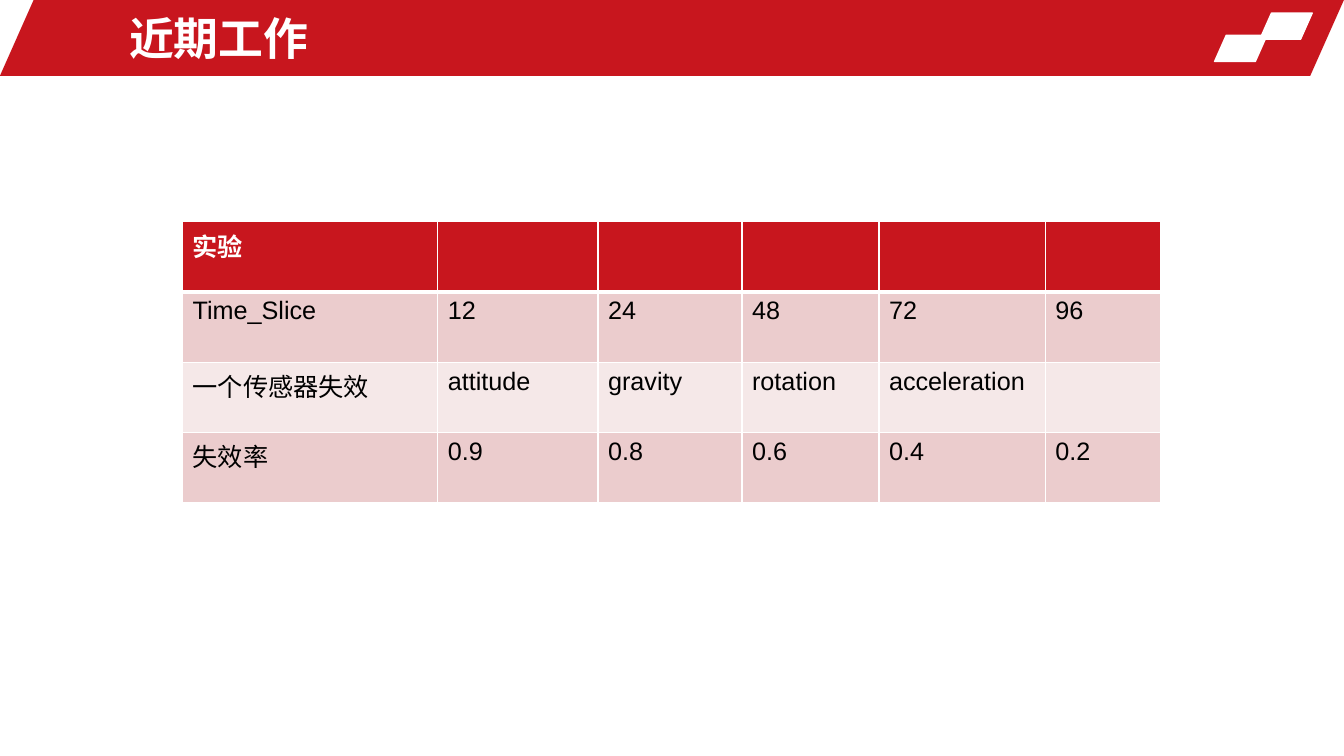
import pptx
import pptx.dml.color
import pptx.enum.shapes
import pptx.enum.text
import pptx.oxml
import pptx.oxml.ns
import pptx.util
from pptx.util import Cm

RED = pptx.dml.color.RGBColor(0xC8, 0x16, 0x1E)
ROSE = pptx.dml.color.RGBColor(0xEB, 0xCC, 0xCD)
PALE = pptx.dml.color.RGBColor(0xF5, 0xE8, 0xE8)
WHITE = pptx.dml.color.RGBColor(0xFF, 0xFF, 0xFF)
BLACK = pptx.dml.color.RGBColor(0, 0, 0)

COL_WIDTHS = [6.43, 4.04, 3.63, 3.45, 4.19, 2.92]
ROW_HEIGHT = 1.77
ROWS = [
    ["实验", "", "", "", "", ""],
    ["Time_Slice", "12", "24", "48", "72", "96"],
    ["一个传感器失效", "attitude", "gravity", "rotation", "acceleration", ""],
    ["失效率", "0.9", "0.8", "0.6", "0.4", "0.2"],
]


class Deck:
    font = "Arial"

    def __init__(self):
        self.prs = pptx.Presentation()
        self.prs.slide_width, self.prs.slide_height = Cm(33.87), Cm(19.05)
        self.s = self.prs.slides.add_slide(self.prs.slide_layouts[5])

    def run(self, p, text, size, color, bold=False):
        r = p.add_run()
        r.text = text
        r.font.name = self.font
        r.font.size = pptx.util.Pt(size)
        r.font.bold = bold
        r.font.color.rgb = color

    def parallelogram(self, left, top, width, height, color, line=None):
        sp = self.s.shapes.add_shape(
            pptx.enum.shapes.MSO_SHAPE.PARALLELOGRAM,
            Cm(left), Cm(top), Cm(width), Cm(height))
        sp.adjustments[0] = 0.444
        sp.shadow.inherit = False
        sp.fill.solid()
        sp.fill.fore_color.rgb = color
        if line is None:
            sp.line.fill.background()
        else:
            sp.line.color.rgb = line
            sp.line.width = pptx.util.Pt(1)

    def title(self, text, left, top, width, height):
        """Fill the title placeholder and bring it in front of the band."""
        sp = self.s.shapes.title
        sp.left, sp.top, sp.width, sp.height = Cm(left), Cm(top), Cm(width), Cm(height)
        tf = sp.text_frame
        tf.auto_size = pptx.enum.text.MSO_AUTO_SIZE.NONE
        tf.vertical_anchor = pptx.enum.text.MSO_ANCHOR.MIDDLE
        p = tf.paragraphs[0]
        p.alignment = pptx.enum.text.PP_ALIGN.LEFT
        self.run(p, text, 32, WHITE, bold=True)
        sp.element.getparent().append(sp.element)

    def borders(self, cell, top, bottom):
        """Draw white cell edges; top and bottom are widths in points."""
        tcPr = cell._tc.get_or_add_tcPr()
        for i, (side, pt) in enumerate(
                [("L", 1), ("R", 1), ("T", top), ("B", bottom)]):
            tcPr.insert(i, pptx.oxml.parse_xml(
                f'<a:ln{side} {pptx.oxml.ns.nsdecls("a")} w="{pptx.util.Pt(pt)}">'
                f'<a:solidFill><a:srgbClr val="{WHITE}"/></a:solidFill></a:ln{side}>'))

    def table(self, left, top, rows, col_widths, row_height):
        table = self.s.shapes.add_table(
            len(rows), len(col_widths), Cm(left), Cm(top),
            Cm(sum(col_widths)), Cm(row_height * len(rows))).table
        for col, width in zip(table.columns, col_widths):
            col.width = Cm(width)
        for i, texts in enumerate(rows):
            table.rows[i].height = Cm(row_height)
            header = i == 0
            fill = RED if header else (ROSE if i % 2 else PALE)
            for j, text in enumerate(texts):
                cell = table.cell(i, j)
                cell.fill.solid()
                cell.fill.fore_color.rgb = fill
                self.borders(cell, 3 if i == 1 else 1, 3 if header else 1)
                if text:
                    self.run(cell.text_frame.paragraphs[0], text, 18,
                             WHITE if header else BLACK, bold=header)


def main():
    deck = Deck()
    deck.parallelogram(0, 0, 33.87, 1.91, RED)
    for left, top in [(31.75, 0.33), (30.61, 0.89)]:
        deck.parallelogram(left, top, 1.32, 0.66, WHITE, line=WHITE)
    deck.title("近期工作", 3, 0.13, 19.66, 1.65)
    deck.table(4.6, 5.59, ROWS, COL_WIDTHS, ROW_HEIGHT)
    deck.prs.save("out.pptx")


if __name__ == "__main__":
    main()
